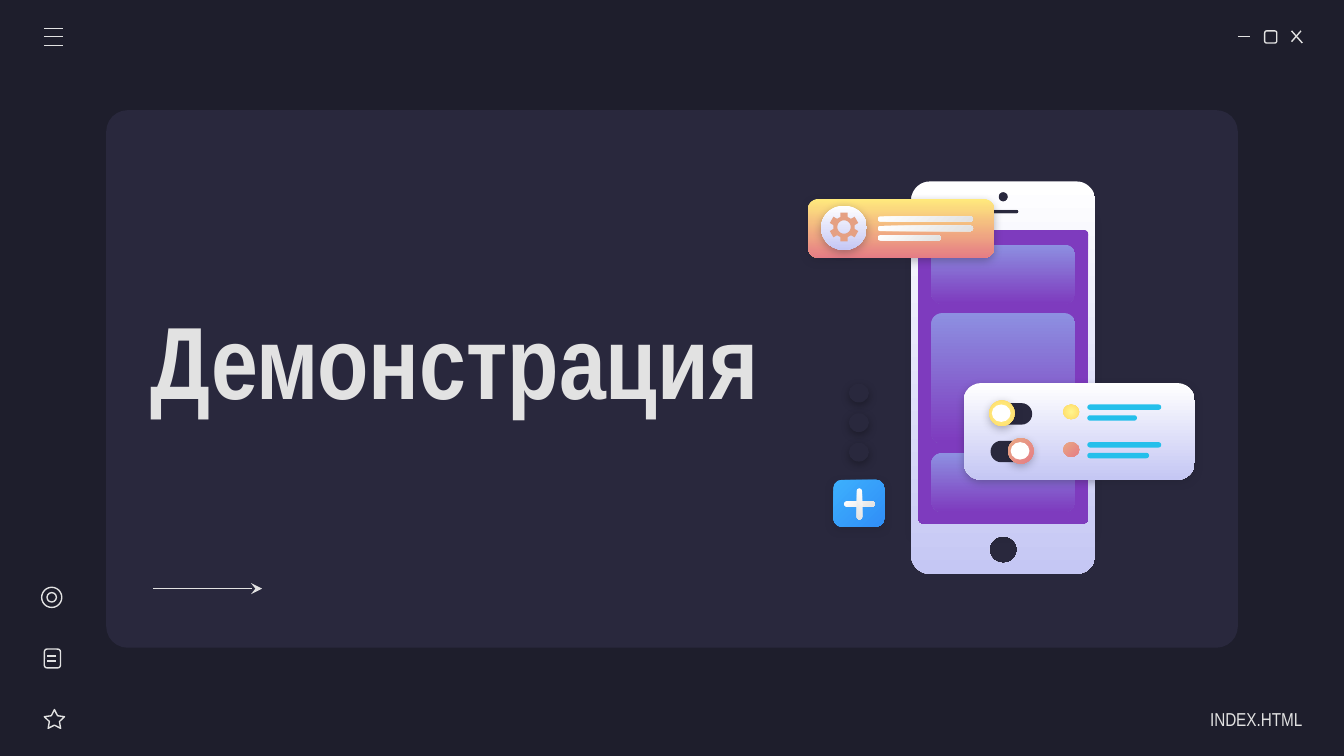
from math import cos, sin, radians
from lxml.etree import SubElement
from pptx import Presentation
from pptx.dml.color import RGBColor
from pptx.enum.shapes import MSO_CONNECTOR as Line, MSO_SHAPE as Shape
from pptx.enum.text import MSO_ANCHOR as Anchor, PP_ALIGN as Align
from pptx.oxml.ns import qn
from pptx.util import Inches, Pt

THEME = {
    "font": "Arial Narrow", "title": 55, "label": 10, "stroke": 0.75,
    "back": "1E1E2C", "panel": "29283D", "light": "E2E2E2", "black": "000000",
    "purple": "7E3BBE", "white": "FFFFFF", "cyan": "24BFEB", "gear": "E5A083",
    # gradients: first colour, last colour, clockwise angle (None is radial)
    "glow": ("8D90E1", "7E3BBE", 90), "body": ("FFFFFF", "C5C7F4", 90),
    "sunset": ("FFEA7D", "E57C85", 90), "paper": ("FFFFFF", "E2E2E2", 45),
    "yellow": ("FFF68E", "FFD966", None), "coral": ("E9A984", "E57C85", 45),
    "blue": ("3DB0FD", "308EF7", 45),
}

# Content: straight strokes as (x1, y1, x2, y2), boxes as (left, top, width, height)
TITLE = "Демонстрация"
FOOTER = "INDEX.HTML"
MENU_LINES = [(0.33, y, 0.47, y) for y in (0.21, 0.27, 0.34)]
WINDOW_LINES = [(9.21, 0.27, 9.3, 0.27), (9.61, 0.23, 9.69, 0.32), (9.68, 0.23, 9.61, 0.31)]
NOTE_LINES = [(0.35, y, 0.42, y) for y in (4.88, 4.92)]
ICONS = [
    (Shape.ROUNDED_RECTANGLE, (9.41, 0.23, 0.09, 0.09), 0.17),
    (Shape.ROUNDED_RECTANGLE, (0.33, 4.83, 0.12, 0.14), 0.17),
    (Shape.OVAL, (0.31, 4.37, 0.15, 0.15), None),
    (Shape.OVAL, (0.35, 4.41, 0.07, 0.07), None),
    (Shape.STAR_5_POINT, (0.33, 5.28, 0.15, 0.14), 0.25),
]
SCREEN_BLOCKS = [(1.82, 0.44), (2.33, 0.97), (3.37, 0.44)]  # top, height
BANNER_BARS = [(1.61, 0.71), (1.68, 0.71), (1.75, 0.47)]  # top, width
# row top, knob left, colour, widths of the two bars
SETTINGS = [(3.0, 7.36, "yellow", (0.55, 0.37)), (3.28, 7.5, "coral", (0.55, 0.46))]
DOT_TOPS = (2.85, 3.07, 3.29)

prs = Presentation()
prs.slide_width = Inches(10)
prs.slide_height = Inches(10 * 9 / 16)
s = prs.slides.add_slide(prs.slide_layouts[6])


def rgb(name):
    return RGBColor.from_string(THEME[name])


def paint(sp, fill=None, shadow=None):
    """Give a shape its fill (or a light outline) and its optional soft shadow."""
    sp.shadow.inherit = False
    if fill is None:
        sp.fill.background()
        sp.line.color.rgb = rgb("light")
        sp.line.width = Pt(THEME["stroke"])
    else:
        sp.line.fill.background()
        if isinstance(THEME[fill], tuple):
            gradient(sp, *THEME[fill])
        else:
            sp.fill.solid()
            sp.fill.fore_color.rgb = rgb(fill)
    if shadow:
        effects = sp._element.spPr.find(qn("a:effectLst"))
        outer = SubElement(effects, qn("a:outerShdw"), blurRad=str(Pt(4.5)), dist=str(Pt(1.5)),
                           dir="5400000", algn="bl", rotWithShape="0")
        color = SubElement(outer, qn("a:srgbClr"), val=THEME[shadow])
        SubElement(color, qn("a:alpha"), val="30000")
    return sp


def gradient(sp, first, last, angle):
    sp.fill.gradient()
    for stop, color, place in zip(sp.fill.gradient_stops, (first, last), (0, 1)):
        stop.color.rgb = RGBColor.from_string(color)
        stop.position = place
    if angle is not None:
        sp.fill.gradient_angle = 360 - angle
        return
    grad = sp._element.spPr.find(qn("a:gradFill"))
    grad.remove(grad.find(qn("a:lin")))
    radial = SubElement(grad, qn("a:path"), path="circle")
    SubElement(radial, qn("a:fillToRect"), l="50000", t="50000", r="50000", b="50000")


def add_shape(kind, box, fill=None, adj=None, shadow=None, rotation=0):
    sp = s.shapes.add_shape(kind, *map(Inches, box))
    if adj is not None:
        sp.adjustments[0] = adj
    sp.rotation = rotation
    return paint(sp, fill, shadow)


def rounded(box, fill, adj=0.5, **fmt):
    return add_shape(Shape.ROUNDED_RECTANGLE, box, fill, adj, **fmt)


def oval(box, fill, **fmt):
    return add_shape(Shape.OVAL, box, fill, **fmt)


def add_line(x1, y1, x2, y2, arrow=False):
    c = s.shapes.add_connector(Line.STRAIGHT, *map(Inches, (x1, y1, x2, y2)))
    c.line.color.rgb = rgb("light")
    c.line.width = Pt(THEME["stroke"])
    if arrow:
        SubElement(c._element.spPr.find(qn("a:ln")), qn("a:tailEnd"), type="stealth")
    SubElement(c._element.spPr, qn("a:effectLst"))


def add_text(text, box, size, bold=False, align=Align.LEFT, right=0.1):
    tf = s.shapes.add_textbox(*map(Inches, box)).text_frame
    tf.word_wrap = True
    tf.vertical_anchor = Anchor.MIDDLE
    tf.margin_left = tf.margin_top = tf.margin_bottom = Inches(0.1)
    tf.margin_right = Inches(right)
    p = tf.paragraphs[0]
    p.alignment = align
    r = p.add_run()
    r.text = text
    r.font.name, r.font.size, r.font.bold = THEME["font"], Pt(THEME[size]), bold
    r.font.color.rgb = rgb("light")


def polar(cx, cy, radius, degrees):
    a = radians(degrees)
    return cx + radius * cos(a), cy + radius * sin(a)


def round_outline(x, y, w, h, radius=None):
    """Points of a rectangle with round corners; fully round without a radius."""
    radius = radius or min(w, h) / 2
    centers = [(x + w - radius, y + h - radius), (x + radius, y + h - radius),
               (x + radius, y + radius), (x + w - radius, y + radius)]
    return [polar(cx, cy, radius, 90 * i + step)
            for i, (cx, cy) in enumerate(centers) for step in range(0, 91, 10)]


def add_outline(contours, fill):
    """One freeform; the contours after the first cut holes."""
    contours = [[(Inches(x), Inches(y)) for x, y in c] for c in contours]
    builder = s.shapes.build_freeform(*contours[0][0], scale=1.0)
    for i, points in enumerate(contours):
        if i:
            builder.move_to(*points[0])
        builder.add_line_segments(points[1:], close=True)
    return paint(builder.convert_to_shape(), fill)


# Background, panel and window icons
s.background.fill.solid()
s.background.fill.fore_color.rgb = rgb("back")
rounded((0.79, 0.82, 8.42, 4), "panel", 0.04)
for ends in MENU_LINES + WINDOW_LINES + NOTE_LINES:
    add_line(*ends)
for kind, box, adj in ICONS:
    add_shape(kind, box, adj=adj)

# Title, arrow and footer
add_text(TITLE, (1.02, 1.74, 5.59, 1.85), "title", bold=True)
add_line(1.14, 4.38, 1.95, 4.38, arrow=True)
add_text(FOOTER, (8.52, 5.2, 1.17, 0.3), "label", align=Align.RIGHT, right=0)

# Phone: screen, blocks, then the body with its openings
add_shape(Shape.RECTANGLE, (6.79, 1.62, 1.34, 2.34), "purple", shadow="back")
for top, height in SCREEN_BLOCKS:
    rounded((6.93, top, 1.07, height), "glow", 0.08 / height)
add_outline([
    round_outline(6.78, 1.35, 1.37, 2.92, 0.14),
    round_outline(7.43, 1.43, 0.07, 0.07),
    round_outline(7.35, 1.56, 0.23, 0.03),
    round_outline(6.83, 1.71, 1.27, 2.19, 0.03),
    round_outline(7.36, 3.99, 0.21, 0.2),
], "body")

# Banner with gear
rounded((6.01, 1.48, 1.39, 0.44), "sunset", 0.19, shadow="back")
oval((6.11, 1.53, 0.34, 0.33), "body", shadow="back")
gear = [polar(6.28, 1.69, radius, 60 * tooth - 90 + turn)
        for tooth in range(6)
        for radius, turn in ((0.08, -20), (0.11, -14), (0.11, 14), (0.08, 20))]
add_outline([gear, round_outline(6.23, 1.64, 0.1, 0.1)], "gear")
for top, width in BANNER_BARS:
    rounded((6.53, top, width, 0.04), "paper")

# Settings card: switch, bullet and two bars in each row
rounded((7.17, 2.85, 1.72, 0.72), "body", 0.18, shadow="back")
for top, knob, color, widths in SETTINGS:
    rounded((7.37, top, 0.31, 0.16), "panel")
    oval((knob, top - 0.02, 0.19, 0.19), color, shadow="back")
    oval((knob + 0.02, top + 0.01, 0.14, 0.13), "white")
    oval((7.91, top + 0.01, 0.12, 0.11), color)
    for i, width in enumerate(widths):
        rounded((8.09, top + 0.01 + 0.08 * i, width, 0.04), "cyan")

# Plus button and dots
rounded((6.2, 3.57, 0.38, 0.35), "blue", 0.18, shadow="back")
for angle in (0, 90):
    rounded((6.28, 3.73, 0.23, 0.04), "paper", rotation=angle)
for top in DOT_TOPS:
    oval((6.32, top, 0.14, 0.15), "panel", shadow="black", rotation=90)

prs.save("out.pptx")
